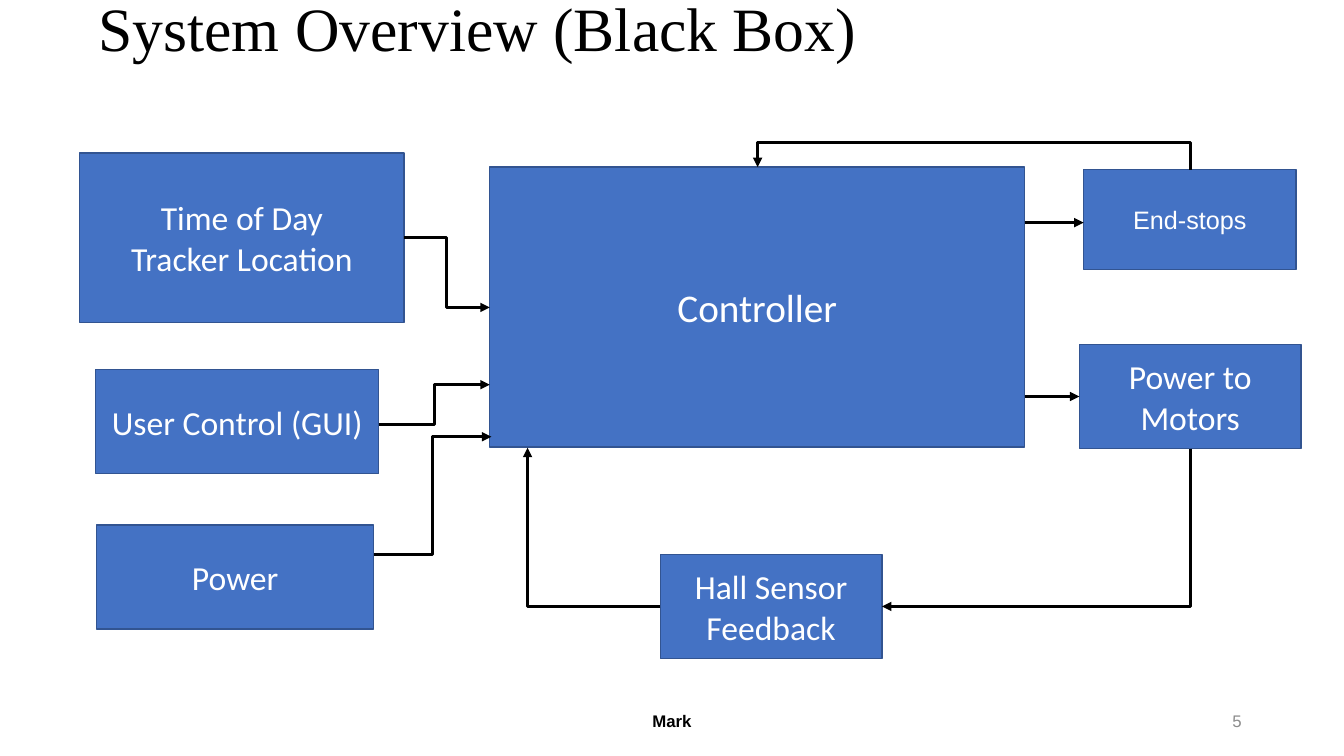
from dataclasses import dataclass
from lxml.etree import SubElement
from pptx import Presentation
from pptx.dml.color import RGBColor
from pptx.enum.shapes import MSO_CONNECTOR, MSO_SHAPE
from pptx.enum.text import MSO_ANCHOR, PP_ALIGN
from pptx.oxml.ns import qn
from pptx.util import Inches, Pt


@dataclass(frozen=True)
class Theme:
    fill: str = "4472C4"
    edge: str = "325491"
    ink: str = "000000"
    muted: str = "8C8C8C"
    paper: str = "FFFFFF"
    body: str = "Calibri"
    plain: str = "Arial"
    serif: str = "Times New Roman"
    title: int = 44
    large: int = 28
    medium: int = 24
    small: int = 18
    footer: int = 12
    edge_width: float = 1
    wire_width: float = 2.25


THEME = Theme()
WIDTH, HEIGHT = Inches(13.333), Inches(7.5)
COLS, ROWS = 160, 90


def col(n):
    return round(WIDTH * n / COLS)


def row(n):
    return round(HEIGHT * n / ROWS)


def place(x, y, w, h):
    return col(x), row(y), col(w), row(h)


def write(sp, lines, size, font, color, align, bold=False, spacing=None):
    tf = sp.text_frame
    tf.word_wrap = True
    tf.vertical_anchor = MSO_ANCHOR.MIDDLE
    tf.text = lines
    for p in tf.paragraphs:
        p.alignment = align
        p.line_spacing = spacing
        p.font.size = Pt(size)
        p.font.name = font
        p.font.bold = bold
        p.font.color.rgb = RGBColor.from_string(color)


def label(s, at, text, size, font, color, align, **style):
    sp = s.shapes.add_textbox(*place(*at))
    write(sp, text, size, font, color, align, **style)


def block(s, at, text, size=THEME.medium, font=THEME.body):
    sp = s.shapes.add_shape(MSO_SHAPE.RECTANGLE, *place(*at))
    sp.shadow.inherit = False
    sp.fill.solid()
    sp.fill.fore_color.rgb = RGBColor.from_string(THEME.fill)
    sp.line.color.rgb = RGBColor.from_string(THEME.edge)
    sp.line.width = Pt(THEME.edge_width)
    write(sp, text, size, font, THEME.paper, PP_ALIGN.CENTER)
    return sp


def wire(s, kind, start, end):
    cx = s.shapes.add_connector(kind, col(start[0]), row(start[1]), col(end[0]), row(end[1]))
    cx.line.color.rgb = RGBColor.from_string(THEME.ink)
    cx.line.width = Pt(THEME.wire_width)
    spPr = cx._element.spPr
    SubElement(spPr.find(qn("a:ln")), qn("a:tailEnd"), type="triangle")
    SubElement(spPr, qn("a:effectLst"))
    return cx


def turned_wire(s, start, end, turn, preset, flip=False, lift=None):
    w, h = abs(end[0] - start[0]), abs(end[1] - start[1])
    mid_x, mid_y = (start[0] + end[0]) / 2, (start[1] + end[1]) / 2
    if turn % 180:
        w, h = h, w
    half_h = -h / 2 if flip else h / 2
    cx = wire(s, MSO_CONNECTOR.ELBOW, (mid_x - w / 2, mid_y - half_h), (mid_x + w / 2, mid_y + half_h))
    spPr = cx._element.spPr
    spPr.find(qn("a:xfrm")).set("rot", str(turn * 60000))
    geom = spPr.find(qn("a:prstGeom"))
    geom.set("prst", preset)
    if lift is not None:
        SubElement(geom.find(qn("a:avLst")), qn("a:gd"), name="adj1", fmla=f"val {round(lift / w * 100000)}")


def main():
    prs = Presentation()
    prs.slide_width, prs.slide_height = WIDTH, HEIGHT
    s = prs.slides.add_slide(prs.slide_layouts[6])

    label(s, (10.56, -4.92, 138, 17.4), "System Overview (Black Box)",
          THEME.title, THEME.serif, THEME.ink, PP_ALIGN.LEFT, spacing=0.9)
    label(s, (53, 83.4, 54, 4.8), "Mark", THEME.footer, THEME.plain, THEME.ink, PP_ALIGN.CENTER, bold=True)
    label(s, (113, 83.4, 36, 4.8), "5", THEME.footer, THEME.plain, THEME.muted, PP_ALIGN.RIGHT)

    block(s, (58.3, 19.9, 63.7, 33.3), "Controller", THEME.large)
    block(s, (9.5, 18.2, 38.6, 20.2), "Time of Day\nTracker Location")
    block(s, (11.4, 44, 33.7, 12.4), "User Control (GUI)")
    block(s, (11.5, 62.5, 33, 12.4), "Power")
    motors = block(s, (128.5, 41, 26.4, 12.4), "Power to Motors")
    block(s, (78.6, 66, 26.4, 12.4), "Hall Sensor Feedback")
    block(s, (129, 20.2, 25.3, 11.9), "End-stops", THEME.small, THEME.plain)

    for start, end in (
        ((48.1, 28.3), (58.3, 36.6)),
        ((45.1, 50.5), (58.3, 45.8)),
        ((44.5, 66), (58.5, 52)),
    ):
        wire(s, MSO_CONNECTOR.ELBOW, start, end)

    wire(s, MSO_CONNECTOR.STRAIGHT, (122, 26.5), (129, 26.5))
    wire(s, MSO_CONNECTOR.STRAIGHT, (122, 47.2), (128.5, 47.2)).end_connect(motors, 1)

    turned_wire(s, (141.7, 53.4), (105, 72.2), 90, "bentConnector2")
    turned_wire(s, (78.6, 72.2), (62.8, 53.3), 180, "bentConnector2")
    turned_wire(s, (141.7, 20.2), (90.2, 19.9), 270, "bentConnector3", flip=True, lift=3.25)

    prs.save("out.pptx")


if __name__ == "__main__":
    main()
